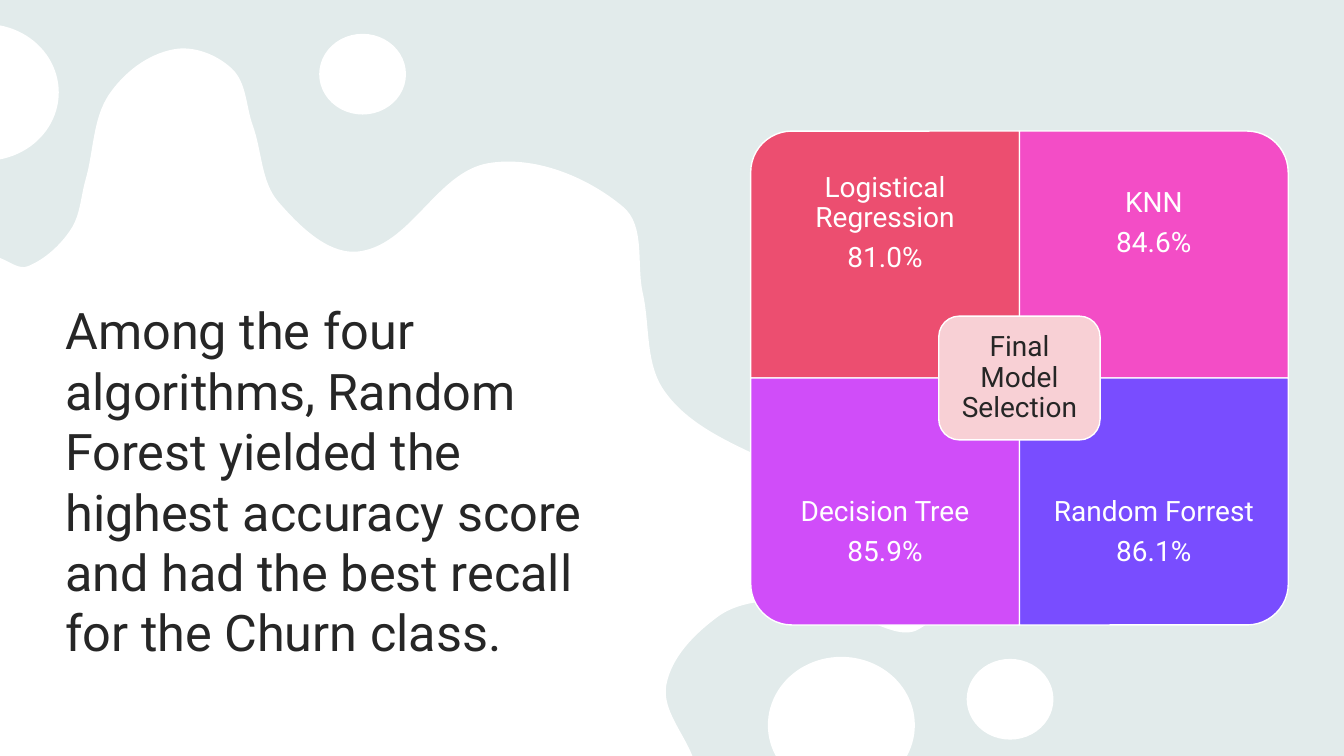
import math

import lxml.etree
import pptx
import pptx.dml.color
import pptx.enum.shapes
import pptx.enum.text
import pptx.oxml.ns
import pptx.util

Pt = pptx.util.Pt
RGBColor = pptx.dml.color.RGBColor
MSO_SHAPE = pptx.enum.shapes.MSO_SHAPE
MSO_ANCHOR = pptx.enum.text.MSO_ANCHOR
MSO_AUTO_SIZE = pptx.enum.text.MSO_AUTO_SIZE
PP_ALIGN = pptx.enum.text.PP_ALIGN
qn = pptx.oxml.ns.qn

MIST = RGBColor(0xE9, 0xF3, 0xF3)
GREY = RGBColor(0xAE, 0xAE, 0xAE)
WHITE = RGBColor(0xFF, 0xFF, 0xFF)
INK = RGBColor(0x26, 0x26, 0x26)
ROSE = RGBColor(0xEC, 0x4E, 0x70)
PINK = RGBColor(0xF3, 0x4D, 0xC6)
PURPLE = RGBColor(0xD0, 0x4D, 0xF9)
VIOLET = RGBColor(0x79, 0x4D, 0xFF)
BLUSH = RGBColor(0xF8, 0xD0, 0xD5)


def add_filled_shape(kind, left, top, width, height, fill, outlined=True):
    shape = slide.shapes.add_shape(kind, Pt(left), Pt(top), Pt(width), Pt(height))
    shape.shadow.inherit = False
    shape.fill.solid()
    shape.fill.fore_color.rgb = fill
    if outlined:
        shape.line.color.rgb = WHITE
        shape.line.width = Pt(1)
    else:
        shape.line.fill.background()
    return shape


def add_text(left, top, width, height, lines, color, size, frame_format, paragraph_format):
    box = slide.shapes.add_textbox(Pt(left), Pt(top), Pt(width), Pt(height))
    frame = box.text_frame
    frame.word_wrap = True
    for name, value in frame_format.items():
        setattr(frame, name, value)
    for index, line in enumerate(lines):
        paragraph = frame.add_paragraph() if index else frame.paragraphs[0]
        for name, value in paragraph_format.items():
            setattr(paragraph, name, value)
        run = paragraph.add_run()
        run.text = line
        run.font.color.rgb = color
        for name, value in {"name": "Roboto", "size": Pt(size)}.items():
            setattr(run.font, name, value)


presentation = pptx.Presentation()
presentation.slide_width = Pt(960)
presentation.slide_height = Pt(540)
slide = presentation.slides.add_slide(presentation.slide_layouts[6])
slide.background.fill.solid()
slide.background.fill.fore_color.rgb = MIST

# Grey veil at 10 % opacity
veil = add_filled_shape(MSO_SHAPE.RECTANGLE, 0, 0, 960, 540, GREY, outlined=False)
veil_color = veil.fill._xPr.find(qn("a:solidFill"))[0]
lxml.etree.SubElement(veil_color, qn("a:alpha"), val="10000")

# White wave: a smooth curve through these points, on a grid of 0.72 pt
WAVE = [
    (0, 256), (28, 264), (70, 228), (85, 178), (108, 94), (172, 49), (230, 68),
    (251, 125), (276, 200), (359, 249), (484, 162), (618, 205), (638, 292),
    (660, 389), (758, 455), (976, 536), (912, 624), (849, 613), (771, 596),
    (712, 612), (661, 680), (687, 750),
]
# Each point's direction runs from the point before it to the point after it
directions = []
for before, after in zip(WAVE[:1] + WAVE, WAVE[1:] + WAVE[-1:]):
    length = math.dist(before, after)
    directions.append([(b - a) / length for a, b in zip(before, after)])

curve_points = []
for index, (start, end) in enumerate(zip(WAVE, WAVE[1:])):
    reach = math.dist(start, end) / 3
    curve_points += [
        tuple(p + reach * d for p, d in zip(start, directions[index])),
        tuple(p - reach * d for p, d in zip(end, directions[index + 1])),
        end,
    ]
builder = slide.shapes.build_freeform(*WAVE[0], scale=Pt(0.72))
builder.add_line_segments(curve_points + [(0, 750)], close=True)
wave = builder.convert_to_shape()
wave.shadow.inherit = False
wave.fill.solid()
wave.fill.fore_color.rgb = WHITE
wave.line.fill.background()

# Every three points of the outline become one Bezier curve
straight_lines = list(wave._element.iter(qn("a:lnTo")))
for first, second, third in zip(*[iter(straight_lines)] * 3):
    first.tag = qn("a:cubicBezTo")
    for line in (second, third):
        first.append(line[0])
        line.getparent().remove(line)

# Drops around the wave: center and width
for center_x, center_y, width in [(259, 53, 62), (721.5, 499.5, 62),
                                  (601, 518, 105), (-10.5, 66, 105)]:
    height = width * 0.93
    add_filled_shape(MSO_SHAPE.OVAL, center_x - width / 2, center_y - height / 2,
                     width, height, WHITE, outlined=False)

# Matrix of the four models
LEFT, TOP, CELL_WIDTH, CELL_HEIGHT = 536.2, 93.6, 192, 176.4
LABEL_HEIGHT = 132.4
MODELS = [
    ("Logistical Regression", "81.0%", ROSE, 270),
    ("KNN", "84.6%", PINK, 0),
    ("Decision Tree", "85.9%", PURPLE, 180),
    ("Random Forrest", "86.1%", VIOLET, 90),
]
LABEL_FORMAT = {"alignment": PP_ALIGN.CENTER, "line_spacing": 0.9, "space_after": Pt(7)}
MARGINS = ("margin_left", "margin_top", "margin_right", "margin_bottom")
cell_frame = {"vertical_anchor": MSO_ANCHOR.MIDDLE, **dict.fromkeys(MARGINS, Pt(11.2))}
tile_frame = {"vertical_anchor": MSO_ANCHOR.MIDDLE, **dict.fromkeys(MARGINS, Pt(6))}

for index, (model, accuracy, color, rotation) in enumerate(MODELS):
    row, column = divmod(index, 2)
    left, top = LEFT + column * CELL_WIDTH, TOP + row * CELL_HEIGHT
    width, height = CELL_WIDTH, CELL_HEIGHT
    if rotation % 180:
        width, height = height, width
    quadrant = add_filled_shape(
        MSO_SHAPE.ROUND_1_RECTANGLE, left + (CELL_WIDTH - width) / 2,
        top + (CELL_HEIGHT - height) / 2, width, height, color)
    quadrant.rotation = rotation
    label_top = top + row * (CELL_HEIGHT - LABEL_HEIGHT)
    add_text(left, label_top, CELL_WIDTH, LABEL_HEIGHT, [model, accuracy],
             WHITE, 20, cell_frame, LABEL_FORMAT)

# Title tile over the middle of the matrix
TILE_WIDTH, TILE_HEIGHT, INSET = 115.2, 88.4, 4.3
tile_left = LEFT + CELL_WIDTH - TILE_WIDTH / 2
tile_top = TOP + CELL_HEIGHT - TILE_HEIGHT / 2
add_filled_shape(MSO_SHAPE.ROUNDED_RECTANGLE, tile_left, tile_top, TILE_WIDTH, TILE_HEIGHT, BLUSH)
add_text(tile_left + INSET, tile_top + INSET, TILE_WIDTH - 2 * INSET, TILE_HEIGHT - 2 * INSET,
         ["Final Model Selection"], INK, 20, tile_frame, LABEL_FORMAT)

# Conclusion
add_text(39.6, 210.2, 400.3, 269.3,
         ["Among the four algorithms, Random Forest yielded the highest accuracy score "
          "and had the best recall for the Churn class."],
         INK, 36, {"auto_size": MSO_AUTO_SIZE.SHAPE_TO_FIT_TEXT}, {})

presentation.save("out.pptx")
